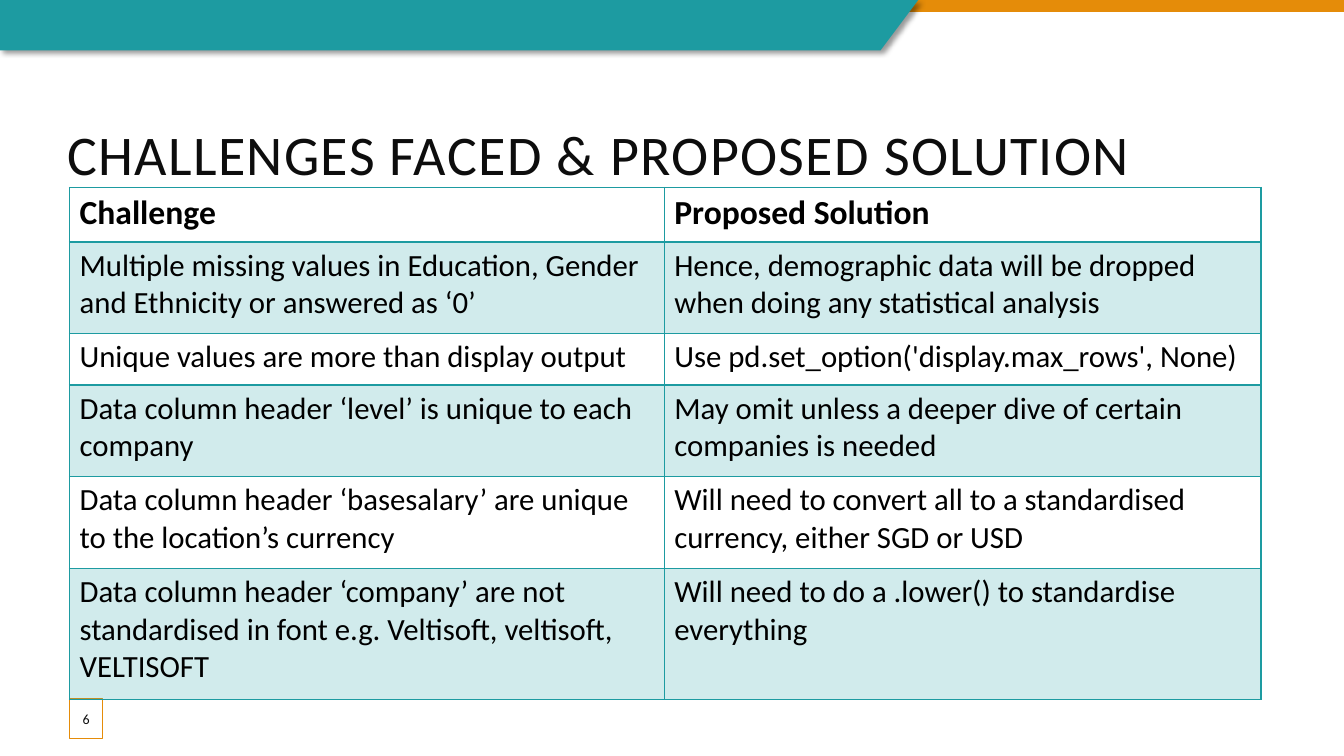
import pptx
import pptx.util
import pptx.dml.color
import pptx.enum.shapes
import pptx.enum.text
import pptx.oxml
import pptx.oxml.ns

Pt = pptx.util.Pt
RGB = pptx.dml.color.RGBColor
RECT = pptx.enum.shapes.MSO_SHAPE.RECTANGLE
ANCHOR = pptx.enum.text.MSO_ANCHOR
TEAL = RGB(0x1D, 0x9B, 0xA1)
ORANGE = RGB(0xE5, 0x8C, 0x09)
WHITE = RGB(0xFF, 0xFF, 0xFF)
INK = RGB(0x0D, 0x0D, 0x0D)
BLACK = RGB(0, 0, 0)
NS = pptx.oxml.ns.nsdecls("a")
LEFT = 49.7


def style(par, size, color, bold=False):
    for run in par.runs:
        run.font.name = "Calibri"
        run.font.size = Pt(size)
        run.font.color.rgb = color
        run.font.bold = bold


def paint(fill, color, alpha=100):
    fill.solid()
    fill.fore_color.rgb = color
    if alpha < 100:
        node = fill._xPr.find(".//" + pptx.oxml.ns.qn("a:srgbClr"))
        node.append(pptx.oxml.parse_xml(f'<a:alpha {NS} val="{alpha * 1000}"/>'))


deck = pptx.Presentation()
deck.slide_width, deck.slide_height = Pt(960), Pt(540)
slide = deck.slides.add_slide(deck.slide_layouts[6])
shapes = slide.shapes

# Top band
strip = shapes.add_shape(RECT, 0, 0, Pt(960), Pt(8.6))
strip.shadow.inherit = False
paint(strip.fill, ORANGE)
strip.line.fill.background()

# Slanted banner with a soft shadow
path = shapes.build_freeform(0, 0, scale=Pt(1))
path.add_line_segments([(656, 0), (628.6, 36), (0, 36)], close=True)
banner = path.convert_to_shape()
paint(banner.fill, TEAL)
banner.line.fill.background()
banner._element.spPr.append(pptx.oxml.parse_xml(
    f'<a:effectLst {NS}><a:outerShdw blurRad="{Pt(4)}" dist="{Pt(3)}" dir="2700000" '
    'algn="tl" rotWithShape="0"><a:srgbClr val="000000"><a:alpha val="40000"/>'
    '</a:srgbClr></a:outerShdw></a:effectLst>'))

# Title
title = shapes.add_textbox(Pt(43.2), Pt(77.8), Pt(851), Pt(55.4))
frame = title.text_frame
frame.word_wrap = True
frame.vertical_anchor = ANCHOR.BOTTOM
frame.margin_left, frame.margin_bottom = Pt(5), 0
frame.text = "CHALLENGES FACED & PROPOSED SOLUTION"
style(frame.paragraphs[0], 40, INK)
frame.paragraphs[0].runs[0].font._element.set("spc", "100")

# Page number
badge = shapes.add_shape(RECT, Pt(LEFT), Pt(499), Pt(23.8), Pt(28.8))
badge.shadow.inherit = False
paint(badge.fill, WHITE, 82)
badge.line.color.rgb = ORANGE
badge.line.width = Pt(0.75)
frame = badge.text_frame
frame.margin_left = frame.margin_right = 0
frame.vertical_anchor = ANCHOR.MIDDLE
frame.text = "6"
frame.paragraphs[0].alignment = pptx.enum.text.PP_ALIGN.CENTER
style(frame.paragraphs[0], 10, INK)

# Table: row height, challenge, solution
ROWS = [
    (38.9, "Challenge", "Proposed Solution"),
    (65.5, "Multiple missing values in Education, Gender and Ethnicity or answered as ‘0’",
     "Hence, demographic data will be dropped when doing any statistical analysis"),
    (36.7, "Unique values are more than display output",
     "Use pd.set_option('display.max_rows', None)"),
    (65.5, "Data column header ‘level’ is unique to each company",
     "May omit unless a deeper dive of certain companies is needed"),
    (65.5, "Data column header ‘basesalary’ are unique to the location’s currency",
     "Will need to convert all to a standardised currency, either SGD or USD"),
    (94, "Data column header ‘company’ are not standardised in font "
     "e.g. Veltisoft, veltisoft, VELTISOFT",
     "Will need to do a .lower() to standardise everything"),
]
table = shapes.add_table(len(ROWS), 2, Pt(LEFT), Pt(133.9), Pt(851), Pt(366.1)).table
table.columns[0].width, table.columns[1].width = Pt(424.8), Pt(426.2)
for r, (height, *words) in enumerate(ROWS):
    table.rows[r].height = Pt(height)
    for c, word in enumerate(words):
        cell = table.cell(r, c)
        cell.text = word
        style(cell.text_frame.paragraphs[0], 22 if r else 24, BLACK, r == 0)
        if r % 2:
            paint(cell.fill, TEAL, 20)
        else:
            cell.fill.background()
        # Borders come before the fill in the cell properties
        for i, side in enumerate("LRTB"):
            width = Pt(2 if r == 0 and side == "B" else 1)
            cell._tc.get_or_add_tcPr().insert(i, pptx.oxml.parse_xml(
                f'<a:ln{side} {NS} w="{width}"><a:solidFill><a:srgbClr val="{TEAL}"/>'
                f'</a:solidFill></a:ln{side}>'))

deck.save("out.pptx")
